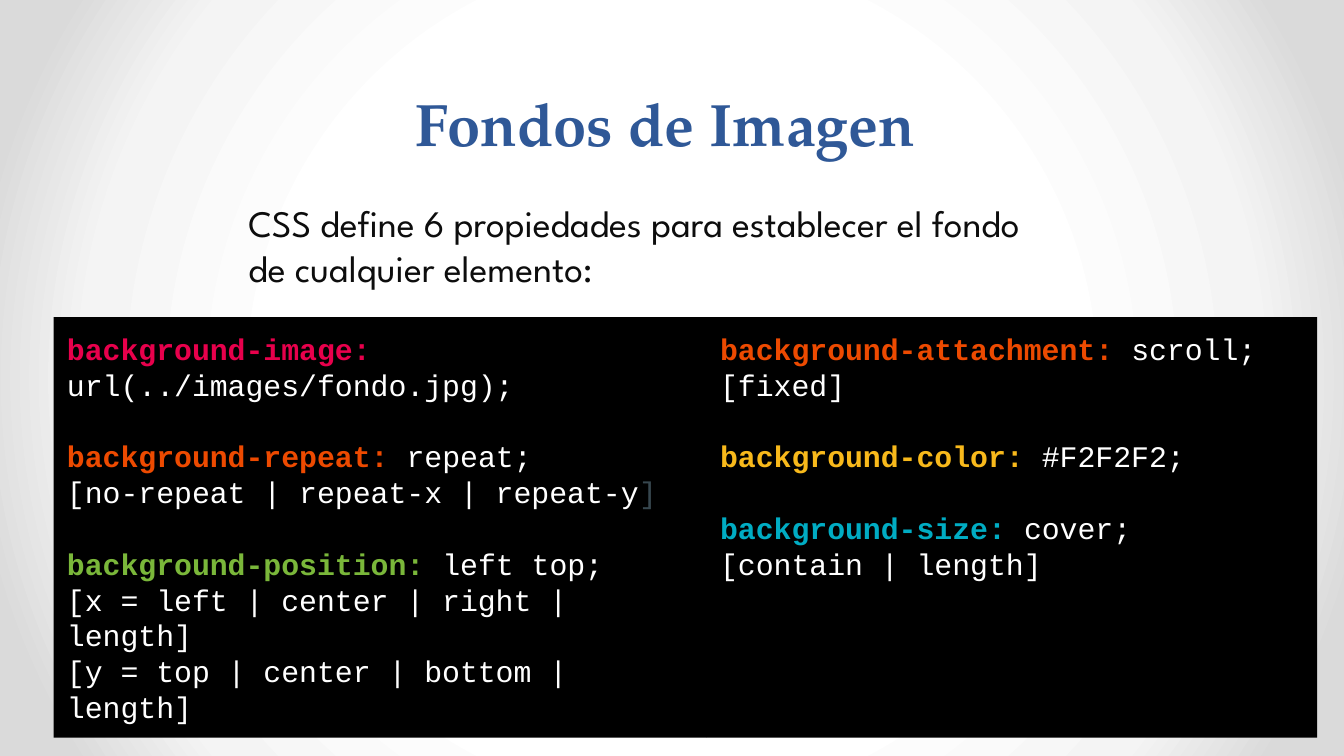
"""Build a slide on the CSS background properties."""
from pptx import Presentation
from pptx.dml.color import RGBColor
from pptx.enum.shapes import MSO_SHAPE
from pptx.enum.text import MSO_ANCHOR, PP_ALIGN
from pptx.oxml import parse_xml
from pptx.oxml.ns import nsdecls
from pptx.util import Inches, Pt

RECT = MSO_SHAPE.RECTANGLE
TOP, MIDDLE, BOTTOM = MSO_ANCHOR.TOP, MSO_ANCHOR.MIDDLE, MSO_ANCHOR.BOTTOM
LEFT, CENTER = PP_ALIGN.LEFT, PP_ALIGN.CENTER

THEME = {
    "title": ("TeX Gyre Pagella", 32, 58),
    "intro": ("League Spartan", 20, 24.1),
    "code": ("Courier New", 16, 19.2),
    "blue": "2F5897", "ink": "0D0D0D", "black": "000000", "white": "FFFFFF",
    "pink": "E8004C", "orange": "ED4A00", "green": "7AB73A",
    "yellow": "F8B91B", "cyan": "00ACC3", "slate": "37474F",
    "backdrop": [(50, "FFFFFF"), (76, "F4F4F4"), (92, "DADADA")],
}


def set_frame(s, anchor):
    tf = s.text_frame
    tf.word_wrap = True
    tf.vertical_anchor = anchor
    tf.margin_left = tf.margin_right = tf.margin_top = tf.margin_bottom = Inches(0.1)
    return tf


def fill_paragraph(p, style, runs, align=LEFT):
    font, size, spacing = THEME[style]
    p.alignment = align
    p.line_spacing = Pt(spacing)
    for text, color, bold in runs:
        r = p.add_run()
        r.text = text
        r.font.name = font
        r.font.size = Pt(size)
        r.font.bold = bold
        r.font.color.rgb = RGBColor.from_string(THEME[color])


prs = Presentation()
prs.slide_width = Inches(10)
prs.slide_height = prs.slide_width * 9 // 16
slide = prs.slides.add_slide(prs.slide_layouts[6])

stops = "".join(
    f'<a:gs pos="{pos * 1000}"><a:srgbClr val="{color}"/></a:gs>'
    for pos, color in THEME["backdrop"]
)
slide.background.fill.solid()
bg_pr = slide.element.cSld.bg.bgPr
bg_pr.replace(bg_pr[0], parse_xml(
    f'<a:gradFill {nsdecls("a")} rotWithShape="1"><a:gsLst>{stops}</a:gsLst>'
    '<a:path path="circle"><a:fillToRect l="50000" t="50000" r="50000" b="50000"/>'
    '</a:path></a:gradFill>'
))

title = slide.shapes.add_textbox(Inches(2.12), Inches(0.37), Inches(5.77), Inches(0.91))
tf = set_frame(title, BOTTOM)
fill_paragraph(tf.paragraphs[0], "title", [("Fondos de Imagen ", "blue", True)], CENTER)

code_panels = [
    (0.4, 4.86, [
        ("background-image: ", "pink", "url(../images/fondo.jpg);", []),
        ("background-repeat: ", "orange", "repeat;",
         [[("[no-repeat | repeat-x | repeat-y", "white", False), ("]", "slate", False)]]),
        ("background-position: ", "green", "left top;",
         [[("[x = left | center | right | length]", "white", False)],
          [("[y = top | center | bottom | length]", "white", False)]]),
    ]),
    (5.26, 4.54, [
        ("background-attachment: ", "orange", "scroll;", [[("[fixed]", "white", False)]]),
        ("background-color: ", "yellow", "#F2F2F2;", []),
        ("background-size: ", "cyan", "cover;", [[("[contain | length]", "white", False)]]),
    ]),
]
for left, width, rules in code_panels:
    panel = slide.shapes.add_shape(RECT, Inches(left), Inches(2.36), Inches(width), Inches(3.13))
    panel.shadow.inherit = False
    panel.fill.solid()
    panel.fill.fore_color.rgb = RGBColor.from_string(THEME["black"])
    panel.line.fill.background()
    tf = set_frame(panel, TOP)
    for i, (name, color, value, options) in enumerate(rules):
        p = tf.add_paragraph() if i else tf.paragraphs[0]
        if i:
            p.space_before = Pt(THEME["code"][2])
        fill_paragraph(p, "code", [(name, color, True), (value, "white", False)])
        for option in options:
            fill_paragraph(tf.add_paragraph(), "code", option)

intro = slide.shapes.add_textbox(Inches(1.75), Inches(1.28), Inches(6.95), Inches(1.08))
tf = set_frame(intro, MIDDLE)
intro_lines = ["CSS define 6 propiedades para establecer el fondo ", "de cualquier elemento: "]
for i, line in enumerate(intro_lines):
    p = tf.add_paragraph() if i else tf.paragraphs[0]
    fill_paragraph(p, "intro", [(line, "ink", False)])

prs.save("out.pptx")
